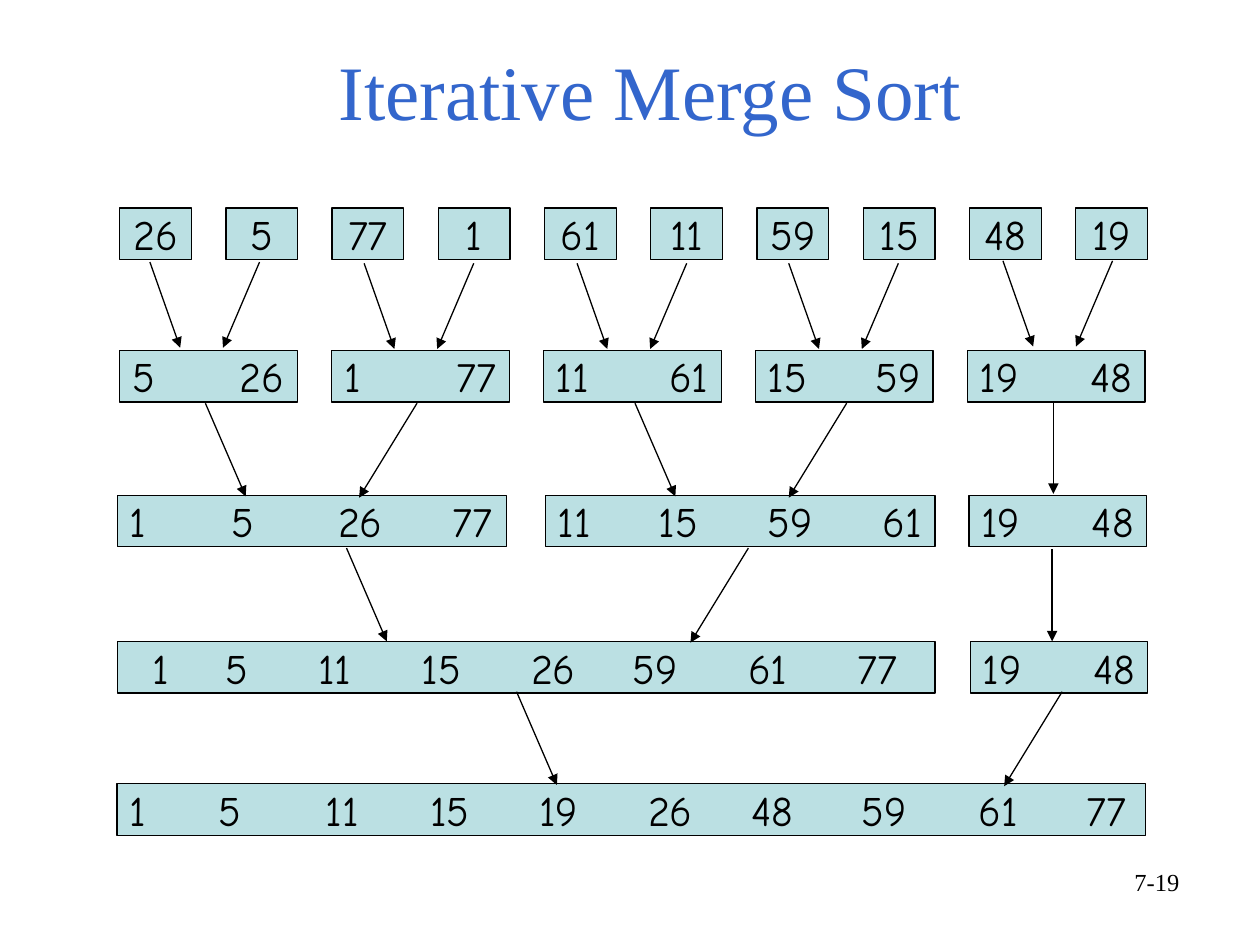
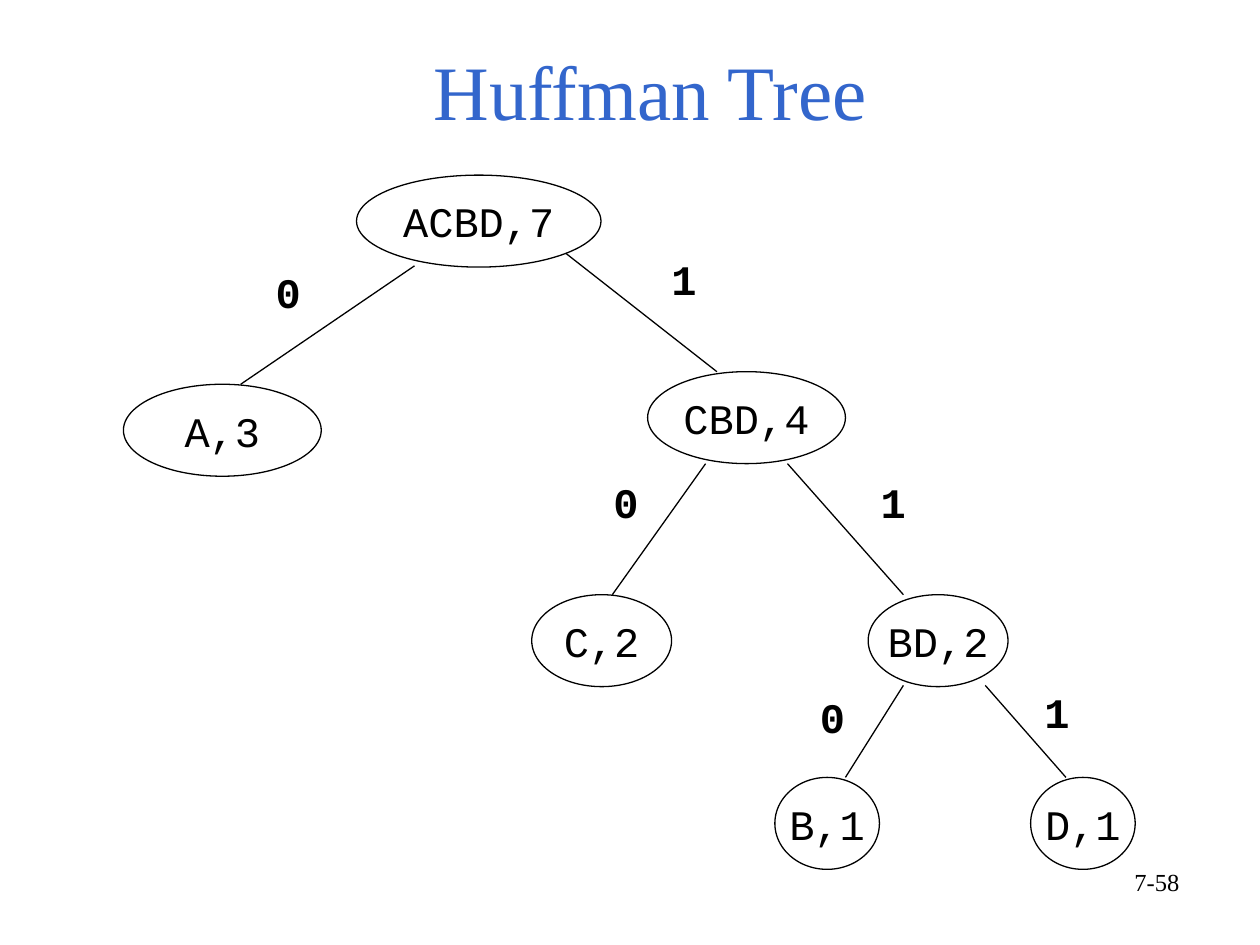
"""Build two slides on iterative merge sort and the Huffman tree."""
from dataclasses import dataclass
from typing import NamedTuple

from pptx import Presentation
from pptx.dml.color import RGBColor
from pptx.enum.shapes import MSO_CONNECTOR, MSO_SHAPE
from pptx.enum.text import MSO_ANCHOR, MSO_AUTO_SIZE, PP_ALIGN
from pptx.oxml.ns import qn
from pptx.oxml.xmlchemy import OxmlElement
from pptx.util import Inches, Pt

RECTANGLE = MSO_SHAPE.RECTANGLE
ELLIPSE = MSO_SHAPE.OVAL
STRAIGHT = MSO_CONNECTOR.STRAIGHT
LEFT, CENTER, RIGHT = PP_ALIGN.LEFT, PP_ALIGN.CENTER, PP_ALIGN.RIGHT
TOP, MIDDLE, BOTTOM = MSO_ANCHOR.TOP, MSO_ANCHOR.MIDDLE, MSO_ANCHOR.BOTTOM
NO_AUTOFIT = MSO_AUTO_SIZE.NONE
TITLE_ONLY = 5


@dataclass(frozen=True)
class Theme:
    """Colours, fonts and sizes used on every slide."""
    title_color: RGBColor = RGBColor(0x33, 0x66, 0xCC)
    ink: RGBColor = RGBColor(0, 0, 0)
    cell_fill: RGBColor = RGBColor(0xBB, 0xE0, 0xE3)
    serif: str = "Times New Roman"
    number_font: str = "Comic Neue"
    code_font: str = "Courier New"
    title_size: int = 44
    content_size: int = 24
    page_size: int = 14
    line_width: float = 0.75


class SortedList(NamedTuple):
    """A merged list; stops are the right edges of all numbers but the first."""
    left: float
    top: float
    width: float
    numbers: str
    stops: tuple
    start: float = 0.1


class Arrow(NamedTuple):
    """An arrow given by its start and its run."""
    x: float
    y: float
    run: tuple


class Node(NamedTuple):
    """An ellipse of the Huffman tree."""
    left: float
    top: float
    width: float
    label: str


class Edge(NamedTuple):
    """A tree edge with the place of its bit label."""
    start: tuple
    end: tuple
    bit: str
    bit_at: tuple


THEME = Theme()
CELL_HEIGHT = 0.41
CELL_WIDTH = 0.57
CELL_PITCH = 0.843
NODE_HEIGHT = 0.73

UNSORTED = "26 5 77 1 61 11 59 15 48 19".split()
PAIRS = ("5 26", "1 77", "11 61", "15 59", "19 48")
PAIR_WIDTH = 1.41
PAIR_PITCH = 1.682
PAIR_STOPS = (1.31,)
LISTS = [SortedList(0.95 + PAIR_PITCH * index, 2.78, PAIR_WIDTH, pair, PAIR_STOPS)
         for index, pair in enumerate(PAIRS)] + [
    SortedList(0.93, 3.93, 3.09, "1 5 26 77", (1.09, 2.11, 2.98)),
    SortedList(4.33, 3.93, 3.09, "11 15 59 61", (1.21, 2.12, 2.99)),
    SortedList(7.69, 3.93, PAIR_WIDTH, "19 48", PAIR_STOPS),
    SortedList(0.93, 5.09, 6.49, "1 5 11 15 26 59 61 77",
               (1.04, 1.86, 2.73, 3.64, 4.45, 5.32, 6.19), 0.28),
    SortedList(7.7, 5.09, PAIR_WIDTH, "19 48", PAIR_STOPS),
    SortedList(0.93, 6.22, 8.16, "1 5 11 15 19 26 48 59 61 77",
               (0.99, 1.92, 2.8, 3.66, 4.57, 5.37, 6.27, 7.15, 8.01)),
]

RIGHTWARD, LEFTWARD, DOWNWARD = (0.32, 0.74), (-0.46, 0.75), (0, 0.73)
FIRST_PASS = ((1.19, 2.08), (2.89, 2.09), (4.58, 2.09), (6.26, 2.09), (7.96, 2.07))
ARROWS = [Arrow(x, y, (0.24, 0.68)) for x, y in FIRST_PASS] + [
    Arrow(x + 0.87, y, (-0.29, 0.68)) for x, y in FIRST_PASS] + [
    Arrow(1.63, 3.2, RIGHTWARD), Arrow(3.31, 3.2, LEFTWARD),
    Arrow(5.04, 3.2, RIGHTWARD), Arrow(6.72, 3.2, LEFTWARD),
    Arrow(8.36, 3.19, DOWNWARD), Arrow(8.35, 4.36, DOWNWARD),
    Arrow(2.75, 4.35, RIGHTWARD), Arrow(5.94, 4.35, LEFTWARD),
    Arrow(4.1, 5.49, RIGHTWARD), Arrow(8.43, 5.49, LEFTWARD),
]

NODES = (
    Node(2.83, 1.39, 1.94, "ACBD,7"),
    Node(6.15, 6.17, 0.83, "B,1"),
    Node(6.89, 4.72, 1.11, "BD,2"),
    Node(5.14, 2.95, 1.57, "CBD,4"),
    Node(0.98, 3.05, 1.57, "A,3"),
    Node(4.22, 4.72, 1.11, "C,2"),
    Node(8.18, 6.17, 0.83, "D,1"),
)
EDGES = (
    Edge((3.29, 2.11), (1.91, 3.05), "0", (2.09, 2.07)),
    Edge((4.49, 2.01), (5.69, 2.95), "1", (5.23, 1.96)),
    Edge((5.6, 3.68), (4.86, 4.72), "0", (4.77, 3.73)),
    Edge((6.25, 3.68), (7.17, 4.72), "1", (6.89, 3.73)),
    Edge((7.17, 5.44), (6.71, 6.17), "0", (6.41, 5.44)),
    Edge((7.82, 5.44), (8.46, 6.17), "1", (8.19, 5.4)),
)


def add_tab_stops(paragraph, positions) -> None:
    """Give a paragraph right-aligned tab stops, in inches."""
    tab_list = OxmlElement("a:tabLst")
    for position in positions:
        tab = OxmlElement("a:tab")
        tab.set("pos", str(Inches(position)))
        tab.set("algn", "r")
        tab_list.append(tab)
    paragraph._p.get_or_add_pPr().append(tab_list)


def write_text(shape, text: str, *, font: str, size: int, color=THEME.ink, bold=False,
               align=CENTER, anchor=MIDDLE, wrap=False, start=0.1, stops=()) -> None:
    """Write one formatted paragraph into a shape."""
    frame = shape.text_frame
    frame.auto_size = NO_AUTOFIT
    frame.word_wrap = wrap
    frame.vertical_anchor = anchor
    frame.margin_left = Inches(start)
    frame.margin_right = Inches(0.1)
    frame.margin_top = frame.margin_bottom = Inches(0.05)
    paragraph = frame.paragraphs[0]
    paragraph.alignment = align
    if stops:
        frame.margin_right = 0
        add_tab_stops(paragraph, [stop - start for stop in stops])
    run = paragraph.add_run()
    run.text = text
    run.font.name = font
    run.font.size = Pt(size)
    run.font.bold = bold
    run.font.color.rgb = color


def add_outlined(slide, kind, left: float, top: float, width: float, height: float, fill=None):
    """Add a preset shape with a thin outline."""
    shape = slide.shapes.add_shape(kind, Inches(left), Inches(top), Inches(width), Inches(height))
    shape.shadow.inherit = False
    if fill is None:
        shape.fill.background()
    else:
        shape.fill.solid()
        shape.fill.fore_color.rgb = fill
    shape.line.color.rgb = THEME.ink
    shape.line.width = Pt(THEME.line_width)
    return shape


def add_line(slide, start: tuple, end: tuple, arrow: bool = False) -> None:
    """Draw a thin straight line, with an arrowhead at its end if asked."""
    line = slide.shapes.add_connector(STRAIGHT, *(Inches(value) for value in (*start, *end)))
    line.line.color.rgb = THEME.ink
    line.line.width = Pt(THEME.line_width)
    if arrow:
        head = OxmlElement("a:tailEnd")
        head.set("type", "triangle")
        line._element.spPr.find(qn("a:ln")).append(head)
    line._element.spPr.append(OxmlElement("a:effectLst"))


def add_text_box(slide, left: float, top: float, width: float, height: float,
                 text: str, **style) -> None:
    """Add a text box with one paragraph anchored at the top."""
    box = slide.shapes.add_textbox(Inches(left), Inches(top), Inches(width), Inches(height))
    write_text(box, text, anchor=TOP, **style)


def add_titled_slide(presentation, title: str, page: str):
    """Add a slide with its title and page number."""
    slide = presentation.slides.add_slide(presentation.slide_layouts[TITLE_ONLY])
    holder = slide.shapes.title
    holder.left, holder.top = Inches(0.75), Inches(0.27)
    holder.width, holder.height = Inches(8.82), Inches(0.86)
    write_text(holder, title, font=THEME.serif, size=THEME.title_size,
               color=THEME.title_color, anchor=BOTTOM, wrap=True)
    add_text_box(slide, 7.13, 6.83, 2.33, 0.52, page, font=THEME.serif,
                 size=THEME.page_size, align=RIGHT, wrap=True)
    return slide


def build_merge_sort(presentation) -> None:
    """Draw the passes of the iterative merge sort."""
    slide = add_titled_slide(presentation, "Iterative Merge Sort", "7-19")
    number_style = {"font": THEME.number_font, "size": THEME.content_size}
    for index, number in enumerate(UNSORTED):
        cell = add_outlined(slide, RECTANGLE, 0.95 + CELL_PITCH * index, 1.65,
                            CELL_WIDTH, CELL_HEIGHT, THEME.cell_fill)
        write_text(cell, number, **number_style)
    for item in LISTS:
        box = add_outlined(slide, RECTANGLE, item.left, item.top, item.width,
                           CELL_HEIGHT, THEME.cell_fill)
        write_text(box, "\t".join(item.numbers.split()), align=LEFT, wrap=True,
                   start=item.start, stops=item.stops, **number_style)
    for arrow in ARROWS:
        across, down = arrow.run
        add_line(slide, (arrow.x, arrow.y), (arrow.x + across, arrow.y + down), arrow=True)


def build_huffman_tree(presentation) -> None:
    """Draw the Huffman tree with its bit labels."""
    slide = add_titled_slide(presentation, "Huffman Tree", "7-58")
    code_style = {"font": THEME.code_font, "size": THEME.content_size}
    for node in NODES:
        ellipse = add_outlined(slide, ELLIPSE, node.left, node.top, node.width, NODE_HEIGHT)
        write_text(ellipse, node.label, **code_style)
    for edge in EDGES:
        add_line(slide, edge.start, edge.end)
        add_text_box(slide, *edge.bit_at, 0.4, 0.5, edge.bit, bold=True, align=LEFT, **code_style)


def main() -> None:
    """Build and save the presentation."""
    presentation = Presentation()
    presentation.slide_width, presentation.slide_height = Inches(10), Inches(7.5)
    build_merge_sort(presentation)
    build_huffman_tree(presentation)
    presentation.save("out.pptx")


if __name__ == "__main__":
    main()
